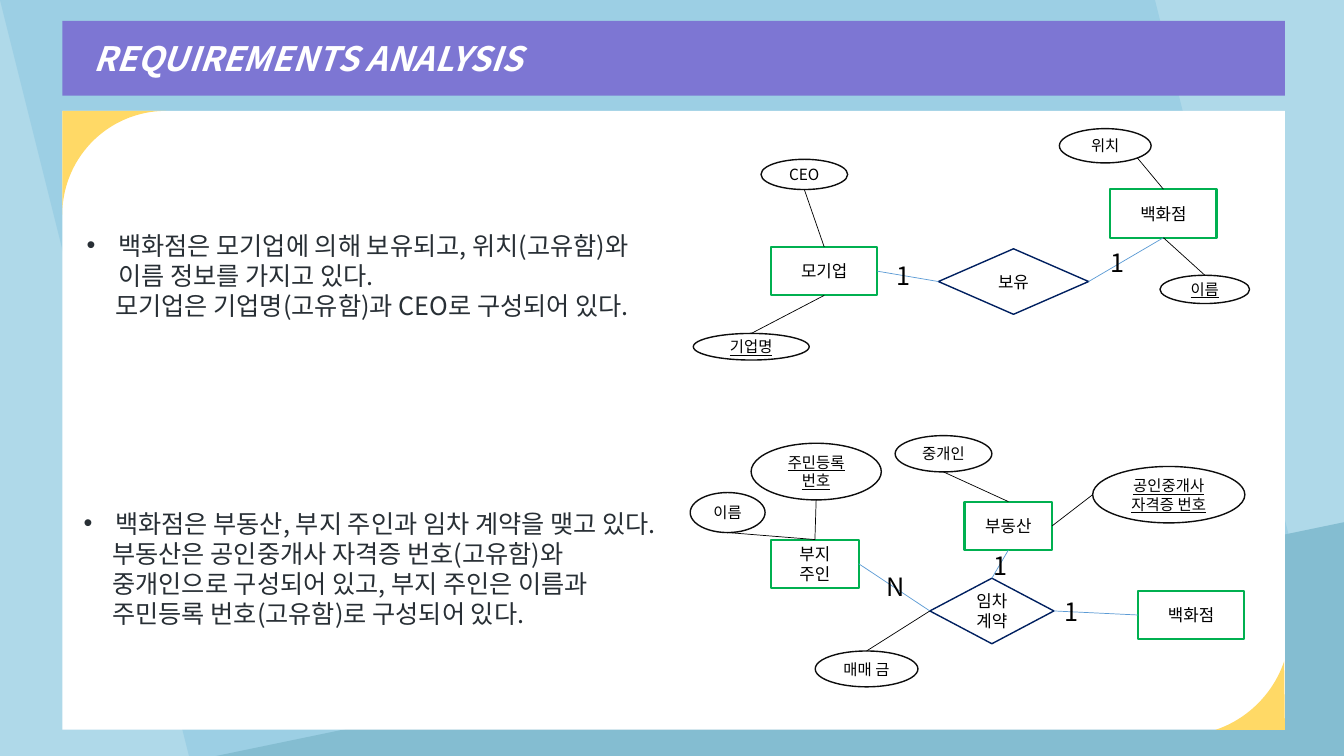
import math
from dataclasses import dataclass

import pptx
import pptx.util
import pptx.dml.color
import pptx.enum.shapes
import pptx.enum.text
import pptx.oxml.ns
from lxml import etree

Pt = pptx.util.Pt
Shape = pptx.enum.shapes.MSO_SHAPE
Align = pptx.enum.text.PP_ALIGN
Anchor = pptx.enum.text.MSO_ANCHOR
qn = pptx.oxml.ns.qn


@dataclass(frozen=True)
class Theme:
    font: str = "Noto Sans CJK KR"
    sky: str = "AFD9E9"
    sky_mid: str = "9CCFE4"
    sky_deep: str = "84BDD1"
    purple: str = "7D76D3"
    yellow: str = "FFD966"
    white: str = "FFFFFF"
    body: str = "282F35"
    black: str = "000000"
    outline: str = "0D0D0D"
    green: str = "00B050"
    navy: str = "002060"
    blue: str = "5B9BD5"
    title_size: int = 24
    body_size: int = 18
    node_size: int = 12
    attribute_size: int = 11
    leading: float = 1.2


theme = Theme()


def rgb(value):
    return pptx.dml.color.RGBColor.from_string(value)


def add_text(paragraph, text, size, color, align=Align.LEFT):
    """Add one run in the slide font and set the paragraph's spacing."""
    paragraph.alignment = align
    paragraph.line_spacing = Pt(size * theme.leading)
    paragraph.space_before = Pt(0)
    run = paragraph.add_run()
    run.text = text
    run.font.name = theme.font
    run.font.size = Pt(size)
    run.font.color.rgb = rgb(color)
    east_asian = etree.SubElement(run.font._element, qn("a:ea"))
    east_asian.set("typeface", theme.font)
    return run


presentation = pptx.Presentation()
presentation.slide_width, presentation.slide_height = Pt(960), Pt(540)
slide = presentation.slides.add_slide(presentation.slide_layouts[3])
shapes = slide.shapes
title, holding_list, lease_list = slide.placeholders

# Background and white panel
slide.background.fill.solid()
slide.background.fill.fore_color.rgb = rgb(theme.sky)
for preset, left, top, width, height, color, flipped in [
    (Shape.PARALLELOGRAM, 0, 0, 960, 540, theme.sky_mid, True),
    (Shape.RIGHT_TRIANGLE, 154.3, 373, 805.7, 167, theme.sky_deep, True),
    (Shape.RECTANGLE, 44.5, 79.2, 873.3, 442.1, theme.white, False),
]:
    shape = shapes.add_shape(preset, Pt(left), Pt(top), Pt(width), Pt(height))
    shape.shadow.inherit = False
    shape.fill.solid()
    shape.fill.fore_color.rgb = rgb(color)
    shape.line.fill.background()
    if flipped:
        shape.element.spPr.get_or_add_xfrm().set("flipH", "1")

# Rounded yellow corners: corner point, arc centre, radius, start and end angle
for corner, center, radius, start, end in [
    ((44.5, 79.2), (118.7, 153.4), 74.2, 180, 270),
    ((917.8, 521.3), (843.1, 447.1), 78.4, 71.2, 18.8),
]:
    angles = [math.radians(start + (end - start) * step / 40) for step in range(41)]
    arc = [(Pt(center[0] + radius * math.cos(angle)),
            Pt(center[1] + radius * math.sin(angle))) for angle in angles]
    builder = shapes.build_freeform(Pt(corner[0]), Pt(corner[1]), scale=1.0)
    builder.add_line_segments(arc, close=True)
    shape = builder.convert_to_shape()
    shape.shadow.inherit = False
    shape.fill.solid()
    shape.fill.fore_color.rgb = rgb(theme.yellow)
    shape.line.fill.background()

# Title bar
shapes.element.append(title.element)
title.left, title.top, title.width, title.height = Pt(44.5), Pt(15), Pt(873.3), Pt(53.3)
title.fill.solid()
title.fill.fore_color.rgb = rgb(theme.purple)
frame = title.text_frame
frame.auto_size = pptx.enum.text.MSO_AUTO_SIZE.NONE
frame.vertical_anchor = Anchor.MIDDLE
frame.margin_left = Pt(22.3)
run = add_text(frame.paragraphs[0], "REQUIREMENTS ANALYSIS", theme.title_size, theme.white)
run.font.bold = run.font.italic = True

# Requirement lists: one bulleted paragraph, then indented lines
for placeholder, left, top, width, height, lines in [
    (holding_list, 54.7, 160.6, 430.6, 72.7, [
        "백화점은 모기업에 의해 보유되고, 위치(고유함)와 이름 정보를 가지고 있다.",
        "모기업은 기업명(고유함)과 CEO로 구성되어 있다."]),
    (lease_list, 52.6, 359.3, 421.9, 116.6, [
        "백화점은 부동산, 부지 주인과 임차 계약을 맺고 있다.",
        "부동산은 공인중개사 자격증 번호(고유함)와",
        "중개인으로 구성되어 있고, 부지 주인은 이름과",
        "주민등록 번호(고유함)로 구성되어 있다."]),
]:
    shapes.element.append(placeholder.element)
    placeholder.left, placeholder.top = Pt(left), Pt(top)
    placeholder.width, placeholder.height = Pt(width), Pt(height)
    frame = placeholder.text_frame
    frame.auto_size = pptx.enum.text.MSO_AUTO_SIZE.NONE
    for index, line in enumerate(lines):
        paragraph = frame.add_paragraph() if index else frame.paragraphs[0]
        add_text(paragraph, line, theme.body_size, theme.body)
        properties = paragraph._p.get_or_add_pPr()
        properties.set("marL", str(Pt(20.4 if index else 22.5)))
        properties.set("indent", str(0 if index else -Pt(22.5)))
        if index:
            etree.SubElement(properties, qn("a:buNone"))
        else:
            etree.SubElement(properties, qn("a:buFont")).set("typeface", "Arial")
            etree.SubElement(properties, qn("a:buChar")).set("char", "•")

# Diagram nodes: kind -> preset, fill, line colour, line width, type size
kinds = {
    "entity": (Shape.RECTANGLE, theme.white, theme.green, 1.5, theme.node_size),
    "relation": (Shape.DIAMOND, theme.white, theme.navy, 1, theme.node_size),
    "attribute": (Shape.OVAL, None, theme.outline, 1, theme.attribute_size),
    "key": (Shape.OVAL, None, theme.outline, 1, theme.attribute_size),
}
nodes = {}
for name, kind, text, left, top, width, height in [
    ("store", "entity", "백화점", 793.1, 135.2, 75.9, 34.6),
    ("parent", "entity", "모기업", 550.8, 176.4, 75.9, 34.6),
    ("holding", "relation", "보유", 670.3, 177.7, 107.3, 46.8),
    ("ceo", "attribute", "CEO", 543.6, 113.8, 61.9, 21.6),
    ("company name", "key", "기업명", 495.2, 238.2, 82.8, 19),
    ("store name", "key", "이름", 828.6, 196.6, 64, 20.2),
    ("location", "attribute", "위치", 756.7, 91.9, 65.5, 24.5),
    ("estate", "entity", "부동산", 689, 358.3, 62.6, 34.6),
    ("owner", "entity", "부지\n주인", 550.8, 385.4, 62.6, 34.6),
    ("lease", "relation", "임차계약", 664.2, 413, 88.6, 46.8),
    ("licence", "key", "공인중개사 자격증 번호", 780.5, 333.2, 108.7, 40.3),
    ("broker", "attribute", "중개인", 639.4, 311.2, 69.1, 25.9),
    ("owner id", "key", "주민등록 번호", 536.5, 316.6, 93, 40.5),
    ("owner name", "attribute", "이름", 493, 351.8, 53.5, 28.6),
    ("price", "attribute", "매매 금", 582.3, 465, 73.4, 25.6),
    ("tenant store", "entity", "백화점", 812.9, 422, 75.9, 34.6),
]:
    preset, fill, line_color, line_width, size = kinds[kind]
    node = shapes.add_shape(preset, Pt(left), Pt(top), Pt(width), Pt(height))
    node.shadow.inherit = False
    if fill:
        node.fill.solid()
        node.fill.fore_color.rgb = rgb(fill)
    else:
        node.fill.background()
    node.line.color.rgb = rgb(line_color)
    node.line.width = Pt(line_width)
    frame = node.text_frame
    frame.word_wrap = True
    frame.vertical_anchor = Anchor.MIDDLE
    for index, line in enumerate(text.split("\n")):
        paragraph = frame.add_paragraph() if index else frame.paragraphs[0]
        run = add_text(paragraph, line, size, theme.black, Align.CENTER)
        if kind == "key":
            run.font.underline = True
    nodes[name] = node

# Links between node sides, given as fractions of each node's box
sides = {"top": (0.5, 0), "bottom": (0.5, 1), "left": (0, 0.5), "right": (1, 0.5),
         "lower right": (0.85, 0.85)}
for start, start_side, end, end_side, color in [
    ("holding", "right", "store", "bottom", theme.blue),
    ("parent", "right", "holding", "left", theme.blue),
    ("company name", "top", "parent", "bottom", theme.black),
    ("ceo", "bottom", "parent", "top", theme.black),
    ("store name", "top", "store", "bottom", theme.black),
    ("location", "lower right", "store", "top", theme.black),
    ("lease", "right", "tenant store", "left", theme.blue),
    ("estate", "bottom", "lease", "top", theme.blue),
    ("owner", "right", "lease", "left", theme.blue),
    ("owner name", "bottom", "owner", "top", theme.black),
    ("owner id", "bottom", "owner", "top", theme.black),
    ("broker", "bottom", "estate", "top", theme.black),
    ("estate", "right", "licence", "left", theme.black),
    ("price", "top", "lease", "left", theme.black),
]:
    ends = []
    for node, side in [(nodes[start], start_side), (nodes[end], end_side)]:
        across, down = sides[side]
        ends += [int(node.left + across * node.width), int(node.top + down * node.height)]
    link = shapes.add_connector(pptx.enum.shapes.MSO_CONNECTOR.STRAIGHT, *ends)
    link.line.color.rgb = rgb(color)
    link.line.width = Pt(0.5)
    etree.SubElement(link.element.spPr, qn("a:effectLst"))

# Cardinalities
for text, left, top in [("1", 786.2, 172.8), ("1", 633.6, 182.2), ("N", 626.4, 404.6),
                        ("1", 702.7, 389.5), ("1", 753.1, 422.6)]:
    box = shapes.add_textbox(Pt(left), Pt(top), Pt(28), Pt(28.8))
    box.text_frame.word_wrap = False
    add_text(box.text_frame.paragraphs[0], text, theme.body_size, theme.black)

presentation.save("out.pptx")
